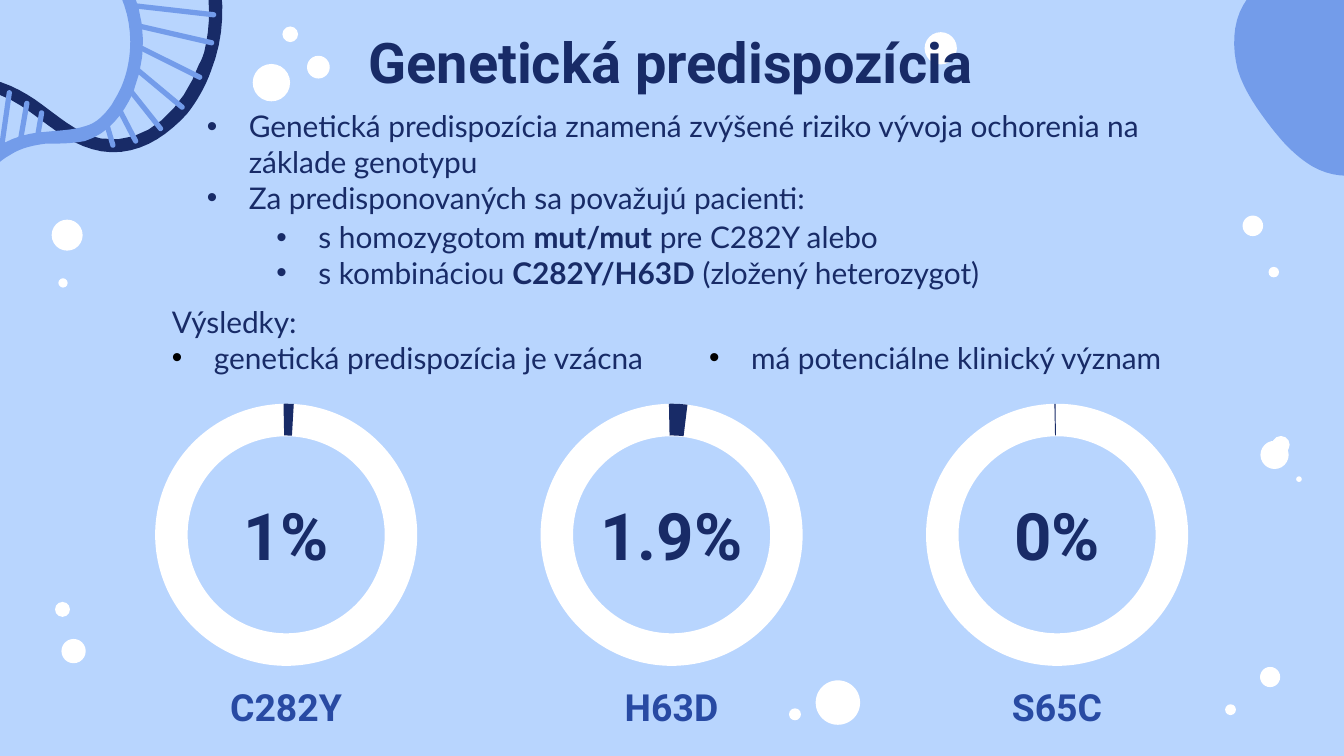
import math
from typing import NamedTuple

from lxml import etree
from pptx import Presentation
from pptx.dml.color import RGBColor
from pptx.enum import shapes, text
from pptx.oxml.ns import qn
from pptx.util import Pt


class Theme:
    sky = RGBColor.from_string("B8D5FE")
    navy = RGBColor.from_string("182B67")
    royal = RGBColor.from_string("284AA3")
    periwinkle = RGBColor.from_string("739CEA")
    white = RGBColor.from_string("FFFFFF")
    black = RGBColor.from_string("000000")
    heading_font, body_font = "Roboto", "Lato"
    title_size, value_size, label_size, body_size = 30, 35, 20, 16


class Bubble(NamedTuple):
    x: float
    y: float
    diameter: float


class Rung(NamedTuple):
    x1: float
    y1: float
    x2: float
    y2: float


class Gauge(NamedTuple):
    label: str
    value: str
    end_angle: float


class Frame(NamedTuple):
    left: float
    top: float
    width: float
    height: float


class Span(NamedTuple):
    words: str
    bold: bool = False


class Para(NamedTuple):
    spans: list[Span]
    bullet: bool = True


# Outlines: a start point, then three points for each Bezier curve
BLOB = [
    (734.4, -0.7), (727.2, -7.9), (718.6, -13), (708.5, -15.8), (691.9, -20.9), (673.9, -12.2),
    (666, 2.9), (660.2, 13), (660.2, 25.9), (663.1, 37.4), (666.7, 49), (673.9, 59),
    (681.1, 68.4), (684, 72), (686.9, 75.6), (689.8, 78.5), (694.1, 82.8), (698.4, 86.4),
    (703.4, 89.3), (712.1, 94.3), (723.6, 95.8), (733, 92.2), (743.8, 87.8), (751, 77),
    (753.1, 65.5), (757.4, 46.1), (753.1, 25.9), (742.3, 9.4), (740.2, 5.8), (737.3, 2.2),
    (734.4, -0.7)]
DARK_STRAND = [
    (-21.6, 44.6), (-22.3, 46.8), (-20.9, 50.4), (-18, 49.7), (-0.7, 45.4), (13.7, 58.3),
    (26.6, 67.7), (38.2, 76.3), (50.4, 82.8), (64.8, 81.4), (79.2, 79.9), (90.7, 71.3),
    (100.1, 61.2), (105.8, 54), (110.2, 46.1), (113, 38.2), (120.2, 20.2), (121, 0),
    (115.9, -18), (114.5, -21.6), (109.4, -20.9), (108.7, -18.7), (108.7, -18), (108.7, -17.3),
    (108.7, -16.6), (113, -2.2), (113, 13.7), (109.4, 28.1), (108.7, 30.2), (108, 32.4),
    (106.6, 34.6), (98.6, 56.9), (79.2, 78.5), (54, 74.2), (40.3, 71.3), (30.2, 61.2),
    (18.7, 53.3), (7.9, 46.1), (-5.8, 39.6), (-19.4, 42.5), (-20.9, 43.2), (-21.6, 43.9),
    (-21.6, 44.6)]
LIGHT_STRAND = [
    (-17.3, 99.4), (-20.2, 106.6), (-20.9, 114.5), (-20.2, 122.4), (-19.4, 126), (-14.4, 125.3),
    (-13.7, 122.4), (-13.7, 121.7), (-13, 121.7), (-13, 121), (-14.4, 114.5), (-13, 108),
    (-10.8, 102.2), (-7.9, 94.3), (-2.2, 87.1), (5.8, 82.8), (11.5, 79.2), (18, 77.8),
    (24.5, 77), (31.7, 77), (38.2, 77), (45.4, 75.6), (57.6, 72), (66.2, 61.2),
    (71.3, 49.7), (71.3, 49), (72, 48.2), (72, 47.5), (80.6, 25.2), (77, -0.7),
    (62.6, -19.4), (60.5, -22.3), (57.6, -20.9), (56.9, -18.7), (56.2, -17.3), (56.2, -16.6),
    (56.9, -15.1), (65.5, -4.3), (69.8, 9.4), (69.8, 22.3), (69.8, 30.2), (68.4, 38.2),
    (65.5, 45.4), (64.1, 49), (61.9, 52.6), (59.8, 56.2), (56.2, 61.2), (51.8, 66.2),
    (45.4, 67.7), (38.9, 69.8), (32.4, 69.8), (25.2, 70.6), (12.2, 71.3), (0, 75.6),
    (-8.6, 85), (-12.2, 89.3), (-15.1, 94.3), (-17.3, 99.4)]
RUNGS = [
    Rung(22.3, 60.5, 20.2, 72.7), Rung(14.4, 55.4, 11, 74.9), Rung(5, 49.7, 0.7, 79.9),
    Rung(56.9, 65.5, 60.5, 77.8), Rung(64.1, 59, 72.7, 75.6), Rung(69.8, 48.5, 86, 68.9),
    Rung(73.1, 37, 97.6, 57.4), Rung(74.5, 25.2, 107, 41.4), Rung(73.4, 13.7, 113.4, 22.9),
    Rung(71.3, 3, 114.5, 7.9)]
RUNG_RADIUS = 1.4
BUBBLES = [
    Bubble(682.8, 243.7, 15.1), Bubble(695.9, 256.7, 3), Bubble(686.2, 238.3, 9.4),
    Bubble(682.4, 145.8, 5.6), Bubble(671.2, 121, 11), Bubble(504, 25.9, 17.3),
    Bubble(39.4, 348.8, 13), Bubble(448.9, 376.4, 23.8), Bubble(425.9, 382.7, 6.4),
    Bubble(33.5, 326.5, 8), Bubble(36, 126, 16.6), Bubble(33.8, 151.6, 5),
    Bubble(170.6, 36, 12.2), Bubble(155.5, 18.4, 8.4), Bubble(659.2, 380.2, 5.8),
    Bubble(680.4, 362.7, 10.8), Bubble(145.4, 44.3, 20)]
GAUGES = [Gauge("C282Y", "1%", 273.32), Gauge("H63D", "1.9%", 276.96),
          Gauge("S65C", "0%", 269.32)]
START_ANGLE = 268.84
RING_SIZE, RING_TOP, FIRST_CENTRE, GAUGE_PITCH = 140.4, 216.3, 153.3, 206.5


def paint(shape, color: RGBColor) -> None:
    shape.shadow.inherit = False
    shape.fill.solid()
    shape.fill.fore_color.rgb = color
    shape.line.fill.background()


def add_preset(page, kind, frame: Frame, color: RGBColor):
    shape = page.shapes.add_shape(kind, *map(Pt, frame))
    paint(shape, color)
    return shape


def add_polygon(page, points: list, color: RGBColor) -> None:
    vertices = [(Pt(x), Pt(y)) for x, y in points]
    builder = page.shapes.build_freeform(*vertices[0])
    builder.add_line_segments(vertices[1:], close=True)
    paint(builder.convert_to_shape(), color)


def add_outline(page, points: list, color: RGBColor, steps: int = 8) -> None:
    outline = [points[0]]
    for i in range(0, len(points) - 1, 3):
        a, b, c, d = points[i:i + 4]
        for step in range(1, steps + 1):
            t = step / steps
            s = 1 - t
            outline.append(tuple(s**3 * a[k] + 3 * s * s * t * b[k] + 3 * s * t * t * c[k]
                                 + t**3 * d[k] for k in (0, 1)))
    add_polygon(page, outline, color)


def add_rung(page, rung: Rung, steps: int = 6) -> None:
    """Draw a bar with two half-round ends."""
    heading = math.atan2(rung.y2 - rung.y1, rung.x2 - rung.x1)
    outline = []
    for x, y, start in ((rung.x1, rung.y1, heading + math.pi / 2),
                        (rung.x2, rung.y2, heading - math.pi / 2)):
        for step in range(steps + 1):
            angle = start + math.pi * step / steps
            outline.append((x + RUNG_RADIUS * math.cos(angle),
                            y + RUNG_RADIUS * math.sin(angle)))
    add_polygon(page, outline, Theme.periwinkle)


def add_span(para, span: Span, font: str, size: float, color: RGBColor) -> None:
    run = para.add_run()
    run.text = span.words
    run.font.name, run.font.size, run.font.bold = font, Pt(size), span.bold
    run.font.color.rgb = color


def add_heading(page, words: str, frame: Frame, size: float, color: RGBColor,
                anchor=text.MSO_ANCHOR.MIDDLE) -> None:
    box = page.shapes.add_textbox(*map(Pt, frame)).text_frame
    box.word_wrap = True
    box.vertical_anchor = anchor
    box.margin_top = box.margin_bottom = Pt(7.2)
    para = box.paragraphs[0]
    para.alignment = text.PP_ALIGN.CENTER
    add_span(para, Span(words, True), Theme.heading_font, size, color)


def add_body(page, paras: list[Para], frame: Frame, bullet_color: RGBColor = Theme.navy) -> None:
    box = page.shapes.add_textbox(*map(Pt, frame)).text_frame
    box.word_wrap = True
    for i, item in enumerate(paras):
        para = box.add_paragraph() if i else box.paragraphs[0]
        if item.bullet:
            props = para._p.get_or_add_pPr()
            props.set("marL", str(Pt(22.5)))
            props.set("indent", str(-Pt(22.5)))
            tint = etree.SubElement(props, qn("a:buClr"))
            etree.SubElement(tint, qn("a:srgbClr"), val=str(bullet_color))
            etree.SubElement(props, qn("a:buFont"), typeface="Arial")
            etree.SubElement(props, qn("a:buChar"), char="•")
        for span in item.spans:
            add_span(para, span, Theme.body_font, Theme.body_size, Theme.navy)


def add_gauge(page, gauge: Gauge, centre: float) -> None:
    ring = Frame(centre - RING_SIZE / 2, RING_TOP, RING_SIZE, RING_SIZE)
    add_preset(page, shapes.MSO_SHAPE.DONUT, ring, Theme.white).adjustments[0] = 0.124
    arc = add_preset(page, shapes.MSO_SHAPE.BLOCK_ARC, ring, Theme.navy)
    # Angles are stored in 60000ths of a degree, adjustments in 100000ths
    for i, value in enumerate((START_ANGLE * 0.6, gauge.end_angle * 0.6, 0.121)):
        arc.adjustments[i] = value
    add_heading(page, gauge.value, Frame(centre - 49.3, 255.2, 98.6, 62),
                Theme.value_size, Theme.navy)
    add_heading(page, gauge.label, Frame(centre - 90.7, 363.2, 181.4, 34.6),
                Theme.label_size, Theme.royal, text.MSO_ANCHOR.BOTTOM)


def main() -> None:
    deck = Presentation()
    deck.slide_width, deck.slide_height = Pt(720), Pt(405)
    page = deck.slides.add_slide(deck.slide_layouts[6])
    page.background.fill.solid()
    page.background.fill.fore_color.rgb = Theme.sky

    # Decoration: blob, bubbles, DNA helix
    add_outline(page, BLOB, Theme.periwinkle)
    for x, y, size in BUBBLES:
        add_preset(page, shapes.MSO_SHAPE.OVAL,
                   Frame(x - size / 2, y - size / 2, size, size), Theme.white)
    add_outline(page, DARK_STRAND, Theme.navy)
    for rung in RUNGS:
        add_rung(page, rung)
    add_outline(page, LIGHT_STRAND, Theme.periwinkle)

    # Title and gauges
    add_heading(page, "Genetická predispozícia", Frame(55.8, 10.4, 607, 44.6),
                Theme.title_size, Theme.navy)
    for i, gauge in enumerate(GAUGES):
        add_gauge(page, gauge, FIRST_CENTRE + i * GAUGE_PITCH)

    # Body text
    add_body(page, [
        Para([Span("Genetická predispozícia znamená zvýšené riziko vývoja ochorenia "
                   "na základe genotypu")]),
        Para([Span("Za predisponovaných sa považujú pacienti:")]),
    ], Frame(103.7, 54.4, 546.5, 65.5))
    add_body(page, [
        Para([Span("s homozygotom "), Span("mut/mut", True), Span(" pre C282Y alebo")]),
        Para([Span("s kombináciou "), Span("C282Y/H63D", True),
              Span(" (zložený heterozygot)")]),
    ], Frame(141, 113.8, 463, 46))

    # Results in two columns
    add_body(page, [
        Para([Span("Výsledky:")], bullet=False),
        Para([Span("genetická predispozícia je vzácna")]),
    ], Frame(85, 159.1, 288, 46), Theme.black)
    add_body(page, [Para([Span("má potenciálne klinický význam")])],
             Frame(372.8, 178.3, 302, 26.8), Theme.black)

    deck.save("out.pptx")


if __name__ == "__main__":
    main()
